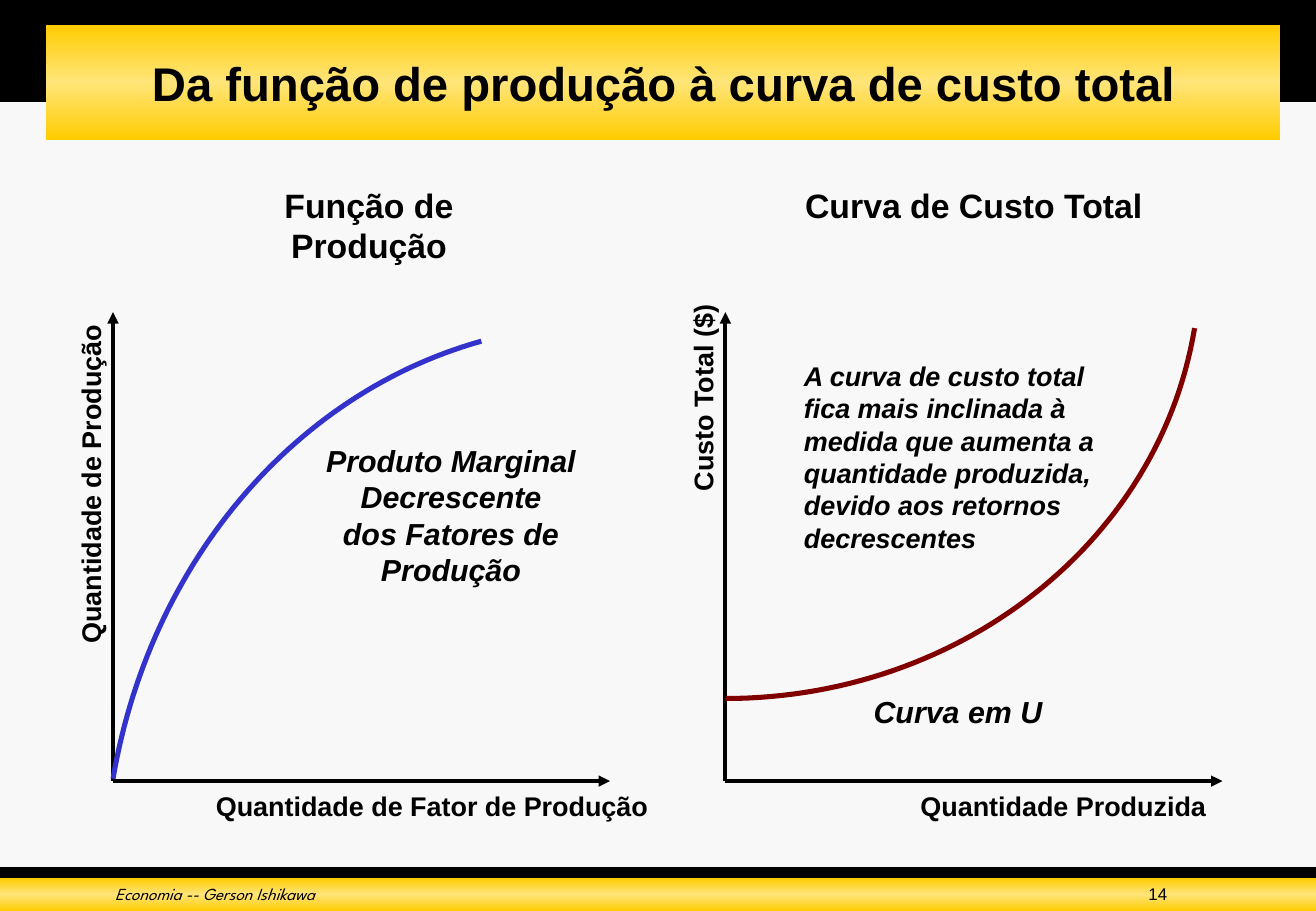
from copy import deepcopy
from dataclasses import dataclass

from lxml import etree
from pptx import Presentation
from pptx.dml.color import RGBColor
from pptx.enum.shapes import MSO_CONNECTOR, MSO_SHAPE
from pptx.enum.text import MSO_ANCHOR as Anchor, MSO_AUTO_SIZE as AutoSize, PP_ALIGN as Align
from pptx.oxml.ns import qn
from pptx.util import Inches, Pt

COLOURS = {
    "paper": "F8F8F8", "ink": "000000", "gold": "FFCC00", "pale_gold": "FFE579",
    "production": "3333CC", "cost": "800000",
}
CURVE_STEPS = 60


@dataclass
class Box:
    """A rectangle whose areas are given in percent of its own size."""
    left: int
    top: int
    width: int
    height: int

    def point(self, x, y):
        """Return the place at x and y percent."""
        return int(self.left + self.width * x / 100), int(self.top + self.height * y / 100)

    def area(self, x, y, width, height):
        """Return the box that starts at x and y percent."""
        return Box(*self.point(x, y), int(self.width * width / 100), int(self.height * height / 100))

    def centred(self, x, y, width, height):
        """Return the box whose middle is at x and y percent."""
        return self.area(x - width / 2, y - height / 2, width, height)

    def bounds(self):
        """Return left, top, width and height."""
        return self.left, self.top, self.width, self.height


def rgb(name):
    """Return a named colour."""
    return RGBColor.from_string(COLOURS[name])


def add_band(slide, box, gold=False):
    """Add a black band, or one with a golden glow along its middle."""
    shape = slide.shapes.add_shape(MSO_SHAPE.RECTANGLE, *box.bounds())
    shape.shadow.inherit = False
    shape.line.fill.background()
    if not gold:
        shape.fill.solid()
        shape.fill.fore_color.rgb = rgb("ink")
        return
    shape.fill.gradient()
    shape.fill.gradient_angle = 90
    stop_list = shape._element.spPr.find(".//" + qn("a:gsLst"))
    stop_list.append(deepcopy(stop_list[0]))
    for stop, position, name in zip(shape.fill.gradient_stops, (0, 0.5, 1), ("gold", "pale_gold", "gold")):
        stop.position = position
        stop.color.rgb = rgb(name)


def add_text(slide, box, paragraphs, size, bold=True, italic=False, font="Arial",
             align=Align.CENTER, anchor=Anchor.TOP, wrap=False, grow=True, rotation=0):
    """Add a text box; each paragraph is a list of lines."""
    shape = slide.shapes.add_textbox(*box.bounds())
    shape.rotation = rotation
    frame = shape.text_frame
    frame.word_wrap = wrap
    frame.auto_size = AutoSize.SHAPE_TO_FIT_TEXT if grow else AutoSize.NONE
    frame.vertical_anchor = anchor
    for number, lines in enumerate(paragraphs):
        paragraph = frame.add_paragraph() if number else frame.paragraphs[0]
        paragraph.alignment = align
        for line_number, line in enumerate(lines):
            if line_number:
                paragraph.add_line_break()
            run = paragraph.add_run()
            run.text = line
            run.font.name, run.font.size = font, Pt(size)
            run.font.bold, run.font.italic = bold, italic
            run.font.color.rgb = rgb("ink")


def add_axis(slide, start, end):
    """Add one axis with an arrowhead at its end."""
    axis = slide.shapes.add_connector(MSO_CONNECTOR.STRAIGHT, *start, *end)
    axis.line.color.rgb = rgb("ink")
    axis.line.width = Pt(2.25)
    properties = axis._element.spPr
    etree.SubElement(properties.find(qn("a:ln")), qn("a:tailEnd"), type="triangle")
    etree.SubElement(properties, qn("a:effectLst"))


def add_curve(slide, box, controls, colour):
    """Add a cubic Bézier curve through four control points."""
    points = []
    for step in range(CURVE_STEPS + 1):
        t = step / CURVE_STEPS
        weights = ((1 - t) ** 3, 3 * t * (1 - t) ** 2, 3 * t ** 2 * (1 - t), t ** 3)
        points.append(box.point(*(sum(w * v for w, v in zip(weights, axis)) for axis in zip(*controls))))
    builder = slide.shapes.build_freeform(*points[0])
    builder.add_line_segments(points[1:], close=False)
    curve = builder.convert_to_shape()
    curve.shadow.inherit = False
    curve.fill.background()
    curve.line.color.rgb = rgb(colour)
    curve.line.width = Pt(3)


def add_plot(slide, box, heading, x_title, y_title, controls, colour):
    """Add a heading, two titled axes and a curve; titles carry middle and width."""
    text, middle, width = heading
    add_text(slide, box.centred(middle, -23, width, 11), [[text]], 20)
    for end in ((0, 0), (100, 100)):
        add_axis(slide, box.point(0, 100), box.point(*end))
    text, middle, width = x_title
    add_text(slide, box.centred(middle, 105.3, width, 9.6), [[text]], 16)
    text, middle, width = y_title
    add_text(slide, box.centred(-4.5, middle, width, 9.6), [[text]], 16, rotation=270)
    add_curve(slide, box, controls, colour)


def add_header(slide, page):
    """Add the title on its golden band."""
    add_band(slide, page.area(0, 0, 100, 11.2))
    title = page.area(3.5, 2.7, 93.8, 12.65)
    add_band(slide, title, gold=True)
    add_text(slide, title, [["Da função de produção à curva de custo total"]], 28,
             anchor=Anchor.MIDDLE, wrap=True, grow=False)


def add_footer(slide, page):
    """Add the footer band with author and slide number."""
    add_band(slide, page.area(0, 95.2, 100, 4.8))
    add_band(slide, page.area(0, 96.4, 100, 3.6), gold=True)
    add_text(slide, page.area(7.85, 96.3, 57.4, 3.7), [["Economia -- Gerson Ishikawa"]], 10, bold=False,
             italic=True, font="League Spartan", align=Align.LEFT, wrap=True, grow=False)
    add_text(slide, page.area(79.1, 96.3, 10.5, 3.7), [["14"]], 10, bold=False,
             align=Align.RIGHT, wrap=True, grow=False)


def add_production_panel(slide, box):
    """Add the production function with its note."""
    add_plot(slide, box, ("Função de Produção", 51.5, 72), ("Quantidade de Fator de Produção", 64.2, 92),
             ("Quantidade de Produção", 36.7, 69),
             ((0, 99.5), (7.3, 53.9), (36.2, 17.4), (74.1, 6.2)), "production")
    add_text(slide, box.centred(68, 43.3, 55.3, 33.7),
             [["Produto Marginal", "Decrescente"], ["dos Fatores de", "Produção"]], 18, italic=True)


def add_cost_panel(slide, box):
    """Add the total cost curve with its notes."""
    add_plot(slide, box, ("Curva de Custo Total", 50, 73), ("Quantidade Produzida", 68, 63),
             ("Custo Total ($)", 18.3, 43),
             ((94.4, 3.4), (87.3, 49), (47.2, 82.4), (0, 82.4)), "cost")
    add_text(slide, box.centred(46.8, 85.2, 39, 10.4), [["Curva em U"]], 18, italic=True)
    add_text(slide, box.centred(45.2, 30.8, 63.6, 44),
             [["A curva de custo total fica mais inclinada à medida que aumenta a quantidade produzida, "
               "devido aos retornos decrescentes"]], 16, italic=True, align=Align.LEFT, wrap=True)


def main():
    """Build and save the presentation."""
    presentation = Presentation()
    presentation.slide_width, presentation.slide_height = Inches(10.83), Inches(7.5)
    slide = presentation.slides.add_slide(presentation.slide_layouts[6])
    slide.background.fill.solid()
    slide.background.fill.fore_color.rgb = rgb("paper")
    page = Box(0, 0, presentation.slide_width, presentation.slide_height)
    add_header(slide, page)
    add_footer(slide, page)
    for add_panel, left in ((add_production_panel, 8.59), (add_cost_panel, 55.12)):
        add_panel(slide, page.area(left, 34.27, 37.77, 51.47))
    presentation.save("out.pptx")


if __name__ == "__main__":
    main()
